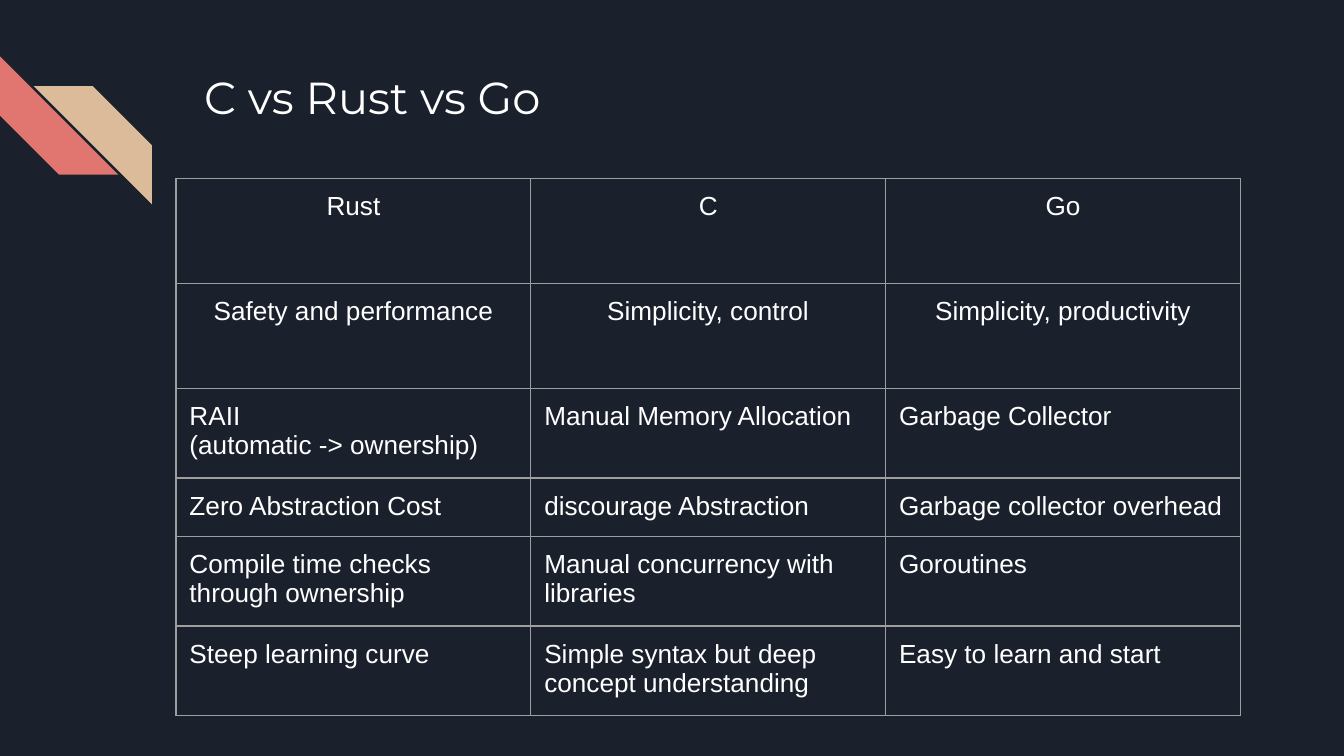
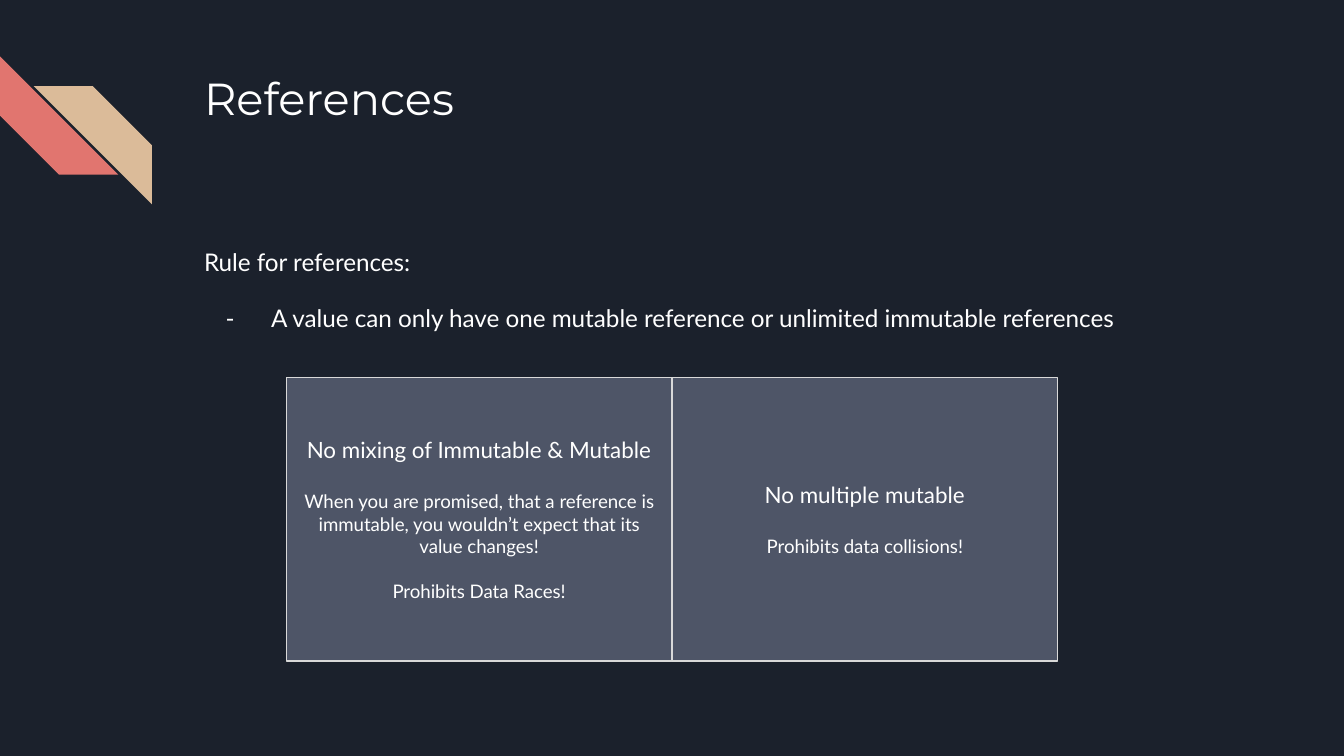
from dataclasses import dataclass

from lxml import etree
from pptx import Presentation
from pptx.dml.color import RGBColor
from pptx.enum.shapes import MSO_SHAPE
from pptx.enum.text import MSO_ANCHOR, PP_ALIGN
from pptx.oxml.ns import qn
from pptx.util import Inches, Pt

LEFT, CENTER, JUSTIFY = PP_ALIGN.LEFT, PP_ALIGN.CENTER, PP_ALIGN.JUSTIFY
TOP, MIDDLE = MSO_ANCHOR.TOP, MSO_ANCHOR.MIDDLE
RECTANGLE, STRIPE = MSO_SHAPE.RECTANGLE, MSO_SHAPE.DIAGONAL_STRIPE
BLANK_LAYOUT = 6
PLAIN_TABLE_STYLE = "{2D5ABB26-0587-4C30-8999-92F81FD0307C}"


@dataclass(frozen=True)
class Theme:
    background: str = "1B212C"
    coral: str = "E1756F"
    sand: str = "DBBB99"
    panel: str = "4E5567"
    panel_line: str = "D9D9D9"
    grid: str = "9E9E9E"
    text: str = "FFFFFF"
    title_font: str = "Montserrat"
    body_font: str = "Lato"
    table_font: str = "Arial"
    title_size: int = 24
    table_size: int = 14
    body_size: int = 13
    heading_size: int = 12
    detail_size: int = 10
    line_width: float = 0.75
    margin: float = 0.1


THEME = Theme()

COMPARISON = [
    ["Rust", "C", "Go"],
    ["Safety and performance", "Simplicity, control", "Simplicity, productivity"],
    ["RAII\n(automatic -> ownership)", "Manual Memory Allocation", "Garbage Collector"],
    ["Zero Abstraction Cost", "discourage Abstraction", "Garbage collector overhead"],
    ["Compile time checks through ownership", "Manual concurrency with libraries",
     "Goroutines"],
    ["Steep learning curve", "Simple syntax but deep concept understanding",
     "Easy to learn and start"],
]
ROW_HEIGHTS = [0.78, 0.78, 0.42, 0.36, 0.42, 0.42]
COLUMN_WIDTH = 2.64
TABLE_FRAME_SIZE = 3.28
CENTERED_ROWS = 2

# Each panel line is its text, its size and the space before it in points.
PANELS = [
    [("No mixing of Immutable & Mutable", THEME.heading_size, 0),
     ("When you are promised, that a reference is immutable, "
      "you wouldn’t expect that its value changes!", THEME.detail_size, 14.4),
     ("Prohibits Data Races!", THEME.detail_size, 12)],
    [("No multiple mutable", THEME.heading_size, 0),
     ("Prohibits data collisions!", THEME.detail_size, 14.4)],
]
PANEL_LEFT, PANEL_TOP, PANEL_WIDTH, PANEL_HEIGHT = 2.13, 2.81, 2.87, 2.11


def color(value):
    return RGBColor.from_string(value)


def set_format(target, formats):
    for name, value in formats.items():
        setattr(target, name, value)


def set_margins(target):
    sides = ("left", "top", "right", "bottom")
    set_format(target, {f"margin_{side}": Inches(THEME.margin) for side in sides})


def write_paragraph(para, text, font, size, **formats):
    span = para.add_run()
    span.text = text
    set_format(span.font, {"name": font, "size": Pt(size)})
    span.font.color.rgb = color(THEME.text)
    set_format(para, formats)


def paragraphs(frame, count):
    """Return the first paragraph of the frame and as many new ones as needed."""
    return [frame.paragraphs[0]] + [frame.add_paragraph() for _ in range(count - 1)]


def prepare_frame(frame, anchor):
    set_margins(frame)
    set_format(frame, {"word_wrap": True, "vertical_anchor": anchor})
    return frame


def add_text_box(page, left, top, width, height):
    box = page.shapes.add_textbox(*map(Inches, (left, top, width, height)))
    return prepare_frame(box.text_frame, TOP)


def add_filled_shape(page, kind, left, top, width, height, fill):
    shape = page.shapes.add_shape(kind, *map(Inches, (left, top, width, height)))
    shape.shadow.inherit = False
    shape.fill.solid()
    shape.fill.fore_color.rgb = color(fill)
    shape.line.fill.background()
    return shape


def add_stripe(page, left, top, fill):
    stripe = add_filled_shape(page, STRIPE, left, top, 0.88, 0.88, fill)
    stripe.adjustments[0] = 0.5
    return stripe


def add_page(deck, title, title_top):
    """Add a page with the corner stripes and a title."""
    page = deck.slides.add_slide(deck.slide_layouts[BLANK_LAYOUT])
    add_stripe(page, 0, 0.42, THEME.coral).rotation = 270
    mirrored = add_stripe(page, 0.25, 0.64, THEME.sand)
    mirrored.element.spPr.find(qn("a:xfrm")).set("flipH", "1")
    frame = add_text_box(page, 1.42, title_top, 7.7, 1)
    write_paragraph(frame.paragraphs[0], title, THEME.title_font, THEME.title_size)
    return page


def add_cell_borders(cell):
    properties = cell._tc.get_or_add_tcPr()
    for side in ("a:lnL", "a:lnR", "a:lnT", "a:lnB"):
        line = etree.SubElement(properties, qn(side), w=str(Pt(THEME.line_width)))
        fill = etree.SubElement(line, qn("a:solidFill"))
        etree.SubElement(fill, qn("a:srgbClr"), val=THEME.grid)


def write_cell(cell, text, alignment):
    add_cell_borders(cell)
    cell.fill.background()
    set_margins(cell)
    cell.vertical_anchor = TOP
    lines = text.split("\n")
    for para, line in zip(paragraphs(cell.text_frame, len(lines)), lines):
        write_paragraph(para, line, THEME.table_font, THEME.table_size,
                        alignment=JUSTIFY if len(lines) > 1 else alignment,
                        space_before=Pt(0), space_after=Pt(0))


def add_comparison_table(page, left, top):
    frame = page.shapes.add_table(
        len(COMPARISON), len(COMPARISON[0]),
        *map(Inches, (left, top, TABLE_FRAME_SIZE, TABLE_FRAME_SIZE)))
    table = frame.table
    set_format(table, {"first_row": False, "horz_banding": False})
    table._tbl.tblPr.find(qn("a:tableStyleId")).text = PLAIN_TABLE_STYLE
    for column in table.columns:
        column.width = Inches(COLUMN_WIDTH)
    for index, texts in enumerate(COMPARISON):
        table.rows[index].height = Inches(ROW_HEIGHTS[index])
        alignment = CENTER if index < CENTERED_ROWS else LEFT
        for cell, text in zip(table.rows[index].cells, texts):
            write_cell(cell, text, alignment)
    set_format(frame, dict.fromkeys(("width", "height"), Inches(TABLE_FRAME_SIZE)))


def add_dash_bullet(para):
    properties = para._p.get_or_add_pPr()
    properties.set("marL", str(Inches(0.5)))
    properties.set("indent", str(Inches(-0.34)))
    bullet_color = etree.SubElement(properties, qn("a:buClr"))
    etree.SubElement(bullet_color, qn("a:srgbClr"), val=THEME.text)
    etree.SubElement(properties, qn("a:buFont"), typeface=THEME.body_font)
    etree.SubElement(properties, qn("a:buChar"), char="-")


def add_reference_rule(page):
    frame = add_text_box(page, 1.42, 1.71, 7.7, 3.18)
    intro, rule = paragraphs(frame, 2)
    write_paragraph(intro, "Rule for references:", THEME.body_font, THEME.body_size,
                    line_spacing=1.15)
    add_dash_bullet(rule)
    write_paragraph(
        rule, "A value can only have one mutable reference or unlimited immutable references",
        THEME.body_font, THEME.body_size, line_spacing=1.15, space_before=Pt(12))


def add_panel(page, left, lines):
    panel = add_filled_shape(page, RECTANGLE, left, PANEL_TOP, PANEL_WIDTH,
                             PANEL_HEIGHT, THEME.panel)
    panel.line.color.rgb = color(THEME.panel_line)
    panel.line.width = Pt(THEME.line_width)
    frame = prepare_frame(panel.text_frame, MIDDLE)
    for para, (text, size, gap) in zip(paragraphs(frame, len(lines)), lines):
        write_paragraph(para, text, THEME.body_font, size,
                        alignment=CENTER, space_before=Pt(gap))


def main():
    deck = Presentation()
    width = Inches(10)
    set_format(deck, {"slide_width": width, "slide_height": width * 9 // 16})
    background = deck.slide_master.background.fill
    background.solid()
    background.fore_color.rgb = color(THEME.background)

    comparison = add_page(deck, "C vs Rust vs Go", 0.42)
    add_comparison_table(comparison, 1.31, 1.33)

    references = add_page(deck, "References", 0.43)
    add_reference_rule(references)
    for index, lines in enumerate(PANELS):
        add_panel(references, PANEL_LEFT + index * PANEL_WIDTH, lines)

    deck.save("out.pptx")


if __name__ == "__main__":
    main()
